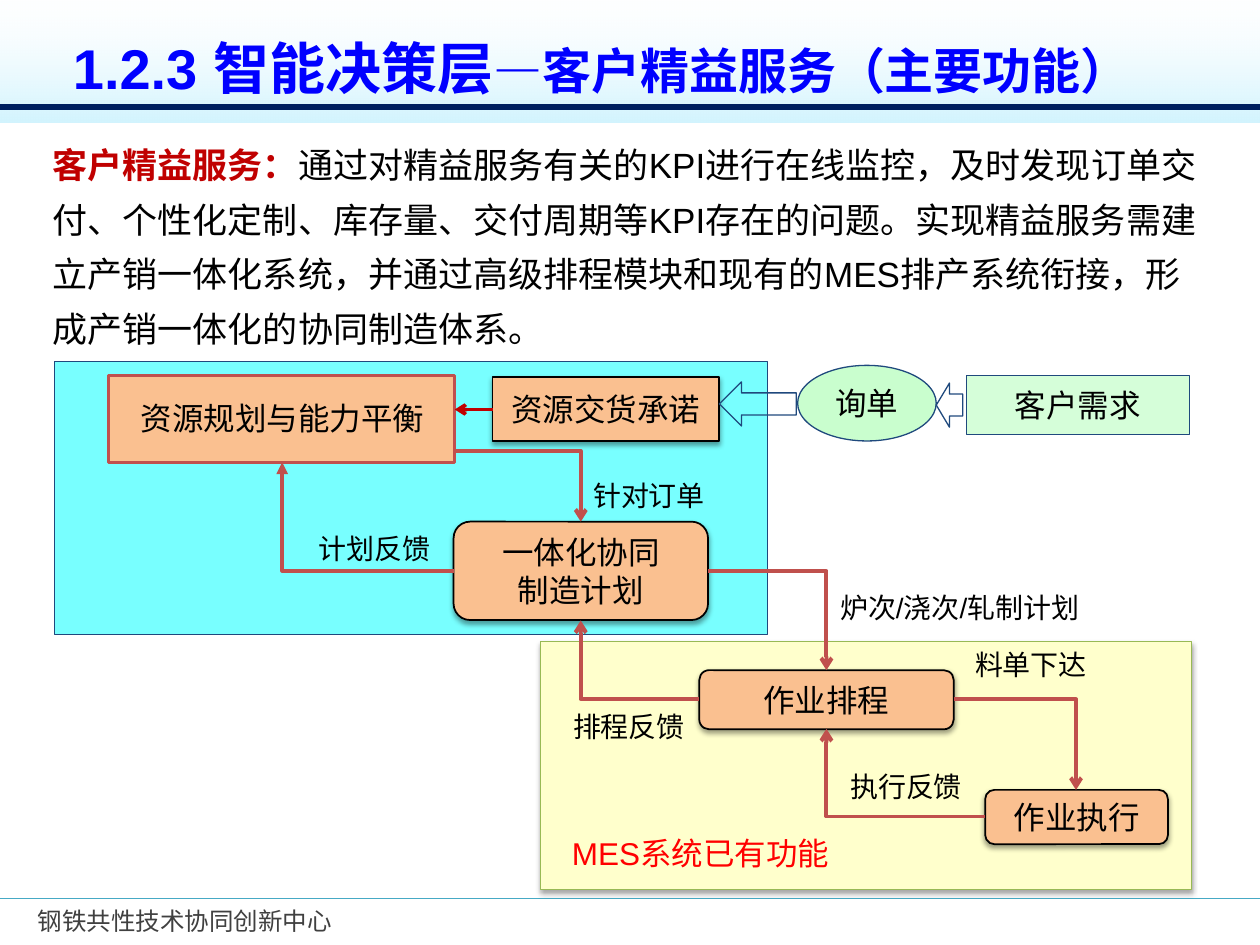
from pptx import Presentation
from pptx.dml.color import RGBColor
from pptx.enum.shapes import MSO_CONNECTOR, MSO_SHAPE
from pptx.enum.text import MSO_ANCHOR, MSO_AUTO_SIZE, PP_ALIGN
from pptx.oxml.ns import qn
from pptx.oxml.xmlchemy import OxmlElement
from pptx.util import Pt

BLACK = RGBColor(0x00, 0x00, 0x00)
WHITE = RGBColor(0xFF, 0xFF, 0xFF)
GRAY = RGBColor(0x40, 0x40, 0x40)
RED = RGBColor(0xFF, 0x00, 0x00)
DARK_RED = RGBColor(0xC0, 0x00, 0x00)
BRICK = RGBColor(0xC0, 0x50, 0x4D)
BLUE = RGBColor(0x00, 0x00, 0xFF)
NAVY = RGBColor(0x00, 0x20, 0x60)
STEEL = RGBColor(0x1F, 0x49, 0x7D)
TEAL = RGBColor(0x46, 0xAA, 0xC5)
SKY = RGBColor(0xB6, 0xED, 0xFE)
CYAN = RGBColor(0x66, 0xFF, 0xFF)
CREAM = RGBColor(0xFF, 0xFF, 0xCC)
OLIVE = RGBColor(0x98, 0xB9, 0x55)
PEACH = RGBColor(0xFA, 0xC0, 0x90)
MINT = RGBColor(0xB4, 0xFE, 0xBB)


def add_element(parent, tag, **attributes):
    element = OxmlElement(tag)
    for name, value in attributes.items():
        element.set(name, str(value))
    parent.append(element)
    return element


def set_opacity(color_element, percent):
    add_element(color_element, "a:alpha", val=percent * 1000)


def add_shadow(shape, opacity):
    """Cast a soft shadow straight down."""
    effects = shape._element.spPr.find(qn("a:effectLst"))
    shadow = add_element(effects, "a:outerShdw", blurRad=Pt(3.1), dist=Pt(1.7),
                         dir=5400000, algn="ctr", rotWithShape=0)
    set_opacity(add_element(shadow, "a:srgbClr", val="000000"), opacity)


def add_box(slide, kind, bounds, fill, line, width, opacity=100, shadow=0):
    shape = slide.shapes.add_shape(kind, *map(Pt, bounds))
    shape.shadow.inherit = False
    if fill is None:
        shape.fill.background()
    else:
        shape.fill.solid()
        shape.fill.fore_color.rgb = fill
        if opacity < 100:
            color = shape._element.spPr.find(qn("a:solidFill"))[0]
            set_opacity(color, opacity)
    shape.line.color.rgb = line
    shape.line.width = Pt(width)
    if shadow:
        add_shadow(shape, shadow)
    return shape


def set_font(font, size, color, name="Arial"):
    font.size, font.name = Pt(size), name
    font.color.rgb = color


def write_centered(shape, lines, name="Arial", wrap=True):
    frame = shape.text_frame
    frame.word_wrap = wrap
    frame.vertical_anchor = MSO_ANCHOR.MIDDLE
    frame.text = lines
    for paragraph in frame.paragraphs:
        paragraph.alignment = PP_ALIGN.CENTER
        set_font(paragraph.font, 18, BLACK, name)


def add_step(slide, kind, bounds, lines):
    shape = add_box(slide, kind, bounds, PEACH, BLACK, 1, shadow=38)
    write_centered(shape, lines)


def add_text(slide, bounds, text, size, color, name="Arial", wrap=True):
    box = slide.shapes.add_textbox(*map(Pt, bounds))
    frame = box.text_frame
    frame.word_wrap = wrap
    frame.auto_size = MSO_AUTO_SIZE.SHAPE_TO_FIT_TEXT
    paragraph = frame.paragraphs[0]
    if text:
        paragraph.add_run().text = text
    set_font(paragraph.font, size, color, name)
    return box


def add_runs(paragraph, runs):
    """Add runs of (text, size, color, bold)."""
    for text, size, color, bold in runs:
        run = paragraph.add_run()
        run.text = text
        set_font(run.font, size, color)
        run.font.bold = bold


def add_line(slide, begin, end, color, width, head=None, bent=False):
    """Draw a line; a bent one runs sideways first, then up or down."""
    kind = MSO_CONNECTOR.ELBOW if bent else MSO_CONNECTOR.STRAIGHT
    connector = slide.shapes.add_connector(kind, *map(Pt, begin + end))
    connector.line.color.rgb = color
    connector.line.width = Pt(width)
    properties = connector._element.spPr
    if bent:
        properties.find(qn("a:prstGeom")).set("prst", "bentConnector2")
    if head:
        add_element(connector.line._get_or_add_ln(), "a:tailEnd", type=head)
    add_element(properties, "a:effectLst")


def add_header_band(slide):
    band = add_box(slide, MSO_SHAPE.RECTANGLE, (0, -11.5, 720, 81.4), None, WHITE, 1)
    band.line.fill.background()
    band.fill.gradient()
    band.fill.gradient_angle = 90
    for stop, color, opacity in zip(band.fill.gradient_stops, (SKY, WHITE), (61, 0)):
        stop.color.rgb = color
        set_opacity(stop._gs[0], opacity)


def add_frame(slide):
    add_text(slide, (14.4, 514.1, 295.2, 24.5), "钢铁共性技术协同创新中心",
             14, GRAY, "Noto Sans CJK SC")
    add_line(slide, (0, 513.4), (720, 513.4), TEAL, 1)
    add_header_band(slide)
    add_line(slide, (0, 61.2), (720, 61.2), NAVY, 3)


def add_flow(slide):
    rectangle, rounded = MSO_SHAPE.RECTANGLE, MSO_SHAPE.ROUNDED_RECTANGLE
    add_box(slide, rectangle, (31, 206.6, 407.5, 156), CYAN, STEEL, 0.75, opacity=88)
    add_box(slide, rectangle, (308.9, 366.5, 372.2, 141.8), CREAM, OLIVE, 0.75, shadow=35)
    add_text(slide, (319.7, 473, 170, 25.2), "MES系统已有功能", 18, RED)
    add_box(slide, rectangle, (61.9, 214.6, 198, 49.7), PEACH, BRICK, 1.5)
    add_text(slide, (73.4, 224.6, 177.8, 28.8), "资源规划与能力平衡", 18, BLACK)

    for kind, bounds, lines in (
        (rectangle, (281.5, 215.3, 129.6, 36.7), "资源交货承诺"),
        (rounded, (259.2, 298.1, 145.4, 56.2), "一体化协同\n制造计划"),
        (rounded, (399.6, 383, 145.4, 33.8), "作业排程"),
        (rounded, (563, 451.4, 104.4, 31), "作业执行"),
    ):
        add_step(slide, kind, bounds, lines)

    for begin, end, head in (
        ((259.2, 326.2), (161.3, 264.2), "triangle"),
        ((259.9, 257.8), (331.9, 298.1), "arrow"),
        ((404.6, 326.2), (472.3, 383), "arrow"),
        ((399.6, 399.6), (331.9, 354.6), "arrow"),
        ((545, 399.6), (614.9, 451.4), "arrow"),
        ((563, 466.6), (472.3, 416.5), "arrow"),
    ):
        add_line(slide, begin, end, BRICK, 2.25, head, bent=True)
    add_line(slide, (281.5, 234), (259.9, 234), DARK_RED, 2, "arrow")

    add_text(slide, (473, 334.1, 183.6, 26.6), "炉次/浇次/轧制计划", 16, BLACK)
    for left, top, label in (
        (331.9, 270, "针对订单"),
        (550.1, 366.5, "料单下达"),
        (478.8, 436.3, "执行反馈"),
        (320.4, 401.8, "排程反馈"),
        (175, 300.2, "计划反馈"),
    ):
        add_text(slide, (left, top, 79.6, 26.6), label, 16, BLACK, wrap=False)


def add_customer_side(slide):
    demand = add_box(slide, MSO_SHAPE.RECTANGLE, (552.2, 214.6, 127.4, 33.8),
                     MINT, STEEL, 0.75, opacity=55)
    write_centered(demand, "客户需求", wrap=False)
    inquiry = add_box(slide, MSO_SHAPE.OVAL, (455.8, 208.8, 79.2, 43.2),
                      MINT, STEEL, 0.75, opacity=71)
    write_centered(inquiry, "询单", "Lato", wrap=False)
    for bounds in ((535, 218.9, 15.1, 25.2), (411.1, 218.2, 43.9, 25.2)):
        add_box(slide, MSO_SHAPE.LEFT_ARROW, bounds, None, STEEL, 0.75)


def add_heading_and_summary(slide):
    summary = add_text(slide, (23, 71.3, 677.5, 133.2), "", 20, BLACK)
    paragraph = summary.text_frame.paragraphs[0]
    paragraph.line_spacing = 1.3
    add_runs(paragraph, (
        ("客户精益服务：", 20, DARK_RED, True),
        ("通过对精益服务有关的KPI进行在线监控，及时发现订单交付、个性化定制、"
         "库存量、交付周期等KPI存在的问题。实现精益服务需建立产销一体化系统，"
         "并通过高级排程模块和现有的MES排产系统衔接，形成产销一体化的协同制造体系。",
         20, BLACK, False),
    ))
    title = add_text(slide, (34.6, 15.8, 674.6, 46), "", 32, BLUE)
    add_runs(title.text_frame.paragraphs[0], (
        ("1.2.3 智能决策层", 32, BLUE, True),
        ("—客户精益服务（主要功能）", 28, BLUE, True),
    ))


def main():
    presentation = Presentation()
    presentation.slide_width, presentation.slide_height = Pt(720), Pt(540)
    slide = presentation.slides.add_slide(presentation.slide_layouts[6])
    add_frame(slide)
    add_flow(slide)
    add_customer_side(slide)
    add_heading_and_summary(slide)
    presentation.save("out.pptx")


if __name__ == "__main__":
    main()
